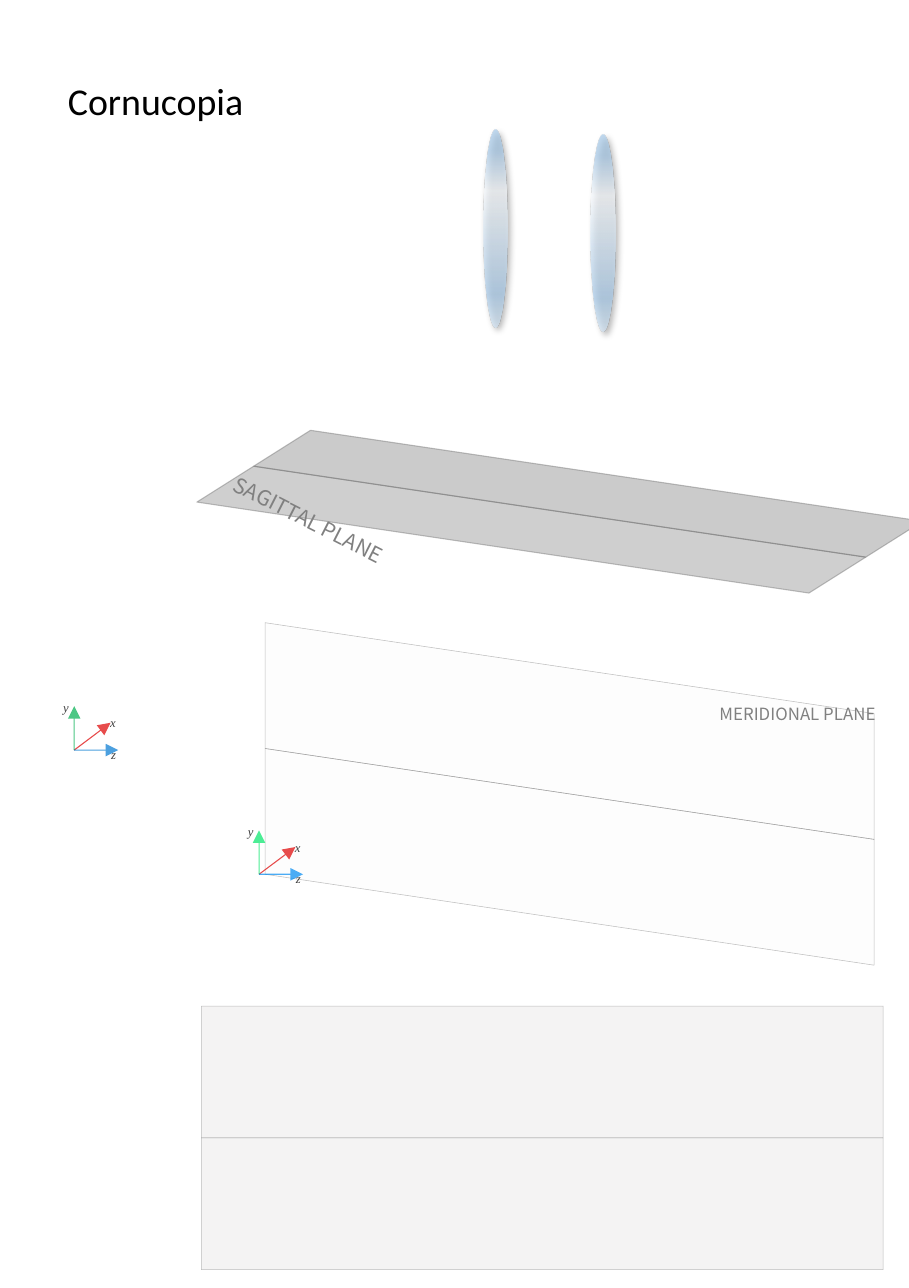
from lxml.etree import SubElement
from pptx import Presentation
from pptx.dml.color import RGBColor
from pptx.enum.shapes import MSO_CONNECTOR as Connector, MSO_SHAPE as Shape
from pptx.enum.text import MSO_ANCHOR as Anchor, PP_ALIGN as Align
from pptx.oxml import parse_xml
from pptx.oxml.ns import nsdecls, qn
from pptx.util import Inches, Pt

BLACK = RGBColor(0x00, 0x00, 0x00)
DARK = RGBColor(0x40, 0x40, 0x40)
GREY = RGBColor(0x80, 0x80, 0x80)
PALE = RGBColor(0xE7, 0xE6, 0xE6)
SHADE = RGBColor(0x26, 0x26, 0x26)
RED = RGBColor(0xDE, 0x00, 0x00)
GREEN = RGBColor(0x00, 0xB0, 0x50)
BRIGHT_GREEN = RGBColor(0x00, 0xE6, 0x68)
BLUE = RGBColor(0x00, 0x78, 0xD2)
BRIGHT_BLUE = RGBColor(0x00, 0x8A, 0xF2)

deck = Presentation()
deck.slide_width, deck.slide_height = Inches(6), Inches(8.5)
page = deck.slides.add_slide(deck.slide_layouts[6])
COLUMN = deck.slide_width // 60
ROW = deck.slide_height // 85


def set_opacity(parent, percent):
    """Make the solid colour directly under parent partly transparent."""
    colour = parent.find(qn("a:solidFill")).find(qn("a:srgbClr"))
    SubElement(colour, qn("a:alpha"), val=str(percent * 1000))


def add_label(shapes, words, left, top, width, height, font, size, colour,
              align=Align.LEFT, inset=1):
    box = shapes.add_textbox(int(left * COLUMN), int(top * ROW),
                             int(width * COLUMN), int(height * ROW))
    frame = box.text_frame
    frame.word_wrap = False
    frame.vertical_anchor = Anchor.MIDDLE
    frame.margin_left = frame.margin_right = int(inset * COLUMN)
    para = frame.paragraphs[0]
    para.text = words
    para.alignment = align
    para.font.name, para.font.size = font, Pt(size)
    para.font.color.rgb = colour
    return box


add_label(page.shapes, "Cornucopia", 3.5, 4.6, 14.3, 4, "Calibri", 18, BLACK)

# Each plane is two halves: first corner, long edge, short edge of one half
sagittal = page.shapes.add_group_shape()
meridional = page.shapes.add_group_shape()
planes = [
    (page, (13.3, 66.4), (45, 0), (0, 8.7), PALE, (45, 45), 0.25),
    (sagittal, (20.5, 28.4), (40.4, 6), (-3.75, 2.37), SHADE, (24, 22), 0.5),
    (meridional, (17.5, 41.1), (40.2, 6), (0, 8.3), PALE, (8, 8), 0.25),
]
for owner, (x, y), (long_x, long_y), (short_x, short_y), colour, opacities, weight in planes:
    for half, opacity in enumerate(opacities):
        left, top = x + half * short_x, y + half * short_y
        if long_y == 0:
            plane = owner.shapes.add_shape(Shape.RECTANGLE, int(left * COLUMN), int(top * ROW),
                                           int(long_x * COLUMN), int(short_y * ROW))
        else:
            outline = owner.shapes.build_freeform(int(left * COLUMN), int(top * ROW))
            corners = [(left + long_x, top + long_y),
                       (left + long_x + short_x, top + long_y + short_y),
                       (left + short_x, top + short_y)]
            outline.add_line_segments([(int(a * COLUMN), int(b * ROW)) for a, b in corners])
            plane = outline.convert_to_shape()
        plane.shadow.inherit = False
        plane.fill.solid()
        plane.fill.fore_color.rgb = colour
        plane.line.color.rgb = GREY
        plane.line.width = Pt(weight)
        properties = plane._element.spPr
        set_opacity(properties, opacity)
        set_opacity(properties.find(qn("a:ln")), 50)

add_label(meridional.shapes, "MERIDIONAL PLANE", 45.3, 45.9, 13.5, 2.4,
          "Noto Sans CJK KR", 8, GREY, Align.RIGHT)
sagittal_label = add_label(sagittal.shapes, "SAGITTAL PLANE", 11.3, 32.3, 15.6, 2.7,
                           "Noto Sans CJK KR", 10, GREY, Align.RIGHT)
sagittal_label.rotation = 27

# Coordinate axes: the arrow's tip and the letter's box, from the origin
for x, y, green, blue in [(17.1, 57.7, BRIGHT_GREEN, BRIGHT_BLUE), (4.9, 49.5, GREEN, BLUE)]:
    axes = page.shapes.add_group_shape()
    for letter, tip, (left, top, width), colour in [
        ("x", (2.4, -1.8), (2, -2.8, 1.1), RED),
        ("y", (0, -2.9), (-1.4, -3.8, 1.7), green),
        ("z", (2.9, 0), (1.9, -0.7, 1.4), blue),
    ]:
        arrow = axes.shapes.add_connector(
            Connector.STRAIGHT, int(x * COLUMN), int(y * ROW),
            int((x + tip[0]) * COLUMN), int((y + tip[1]) * ROW))
        arrow.line.color.rgb = colour
        arrow.line.width = Pt(0.5)
        properties = arrow._element.spPr
        line = properties.find(qn("a:ln"))
        set_opacity(line, 70)
        SubElement(line, qn("a:tailEnd"), type="triangle")
        SubElement(properties, qn("a:effectLst"))
        name = add_label(axes.shapes, letter, x + left, y + top, width, 2,
                         "Times New Roman", 6, DARK, Align.CENTER, inset=0)
        name.text_frame.paragraphs[0].font.italic = True

# Lenses: position in percent, colour, opacity in percent
GLASS = [(11, "A6C9E8", 69), (31, "F7FAFD", 69), (83, "A6C9E8", 69), (98, "CEE1F2", 70)]
stops = "".join(
    f'<a:gs pos="{place * 1000}"><a:srgbClr val="{colour}">'
    f'<a:alpha val="{opacity * 1000}"/></a:srgbClr></a:gs>'
    for place, colour, opacity in GLASS)
for left, top in [(31.9, 8.6), (39, 8.9)]:
    lens = page.shapes.add_shape(Shape.OVAL, int(left * COLUMN), int(top * ROW),
                                 int(1.6 * COLUMN), 13 * ROW)
    lens.line.fill.background()
    properties = lens._element.spPr
    properties.insert(2, parse_xml(
        f'<a:gradFill {nsdecls("a")} rotWithShape="1"><a:gsLst>{stops}</a:gsLst>'
        '<a:lin ang="5400000" scaled="0"/></a:gradFill>'))
    properties.append(parse_xml(
        f'<a:effectLst {nsdecls("a")}><a:outerShdw blurRad="{Pt(3)}" dist="{Pt(2)}" '
        'dir="2700000" algn="tl" rotWithShape="0"><a:srgbClr val="000000">'
        '<a:alpha val="40000"/></a:srgbClr></a:outerShdw></a:effectLst>'))

deck.save("out.pptx")
